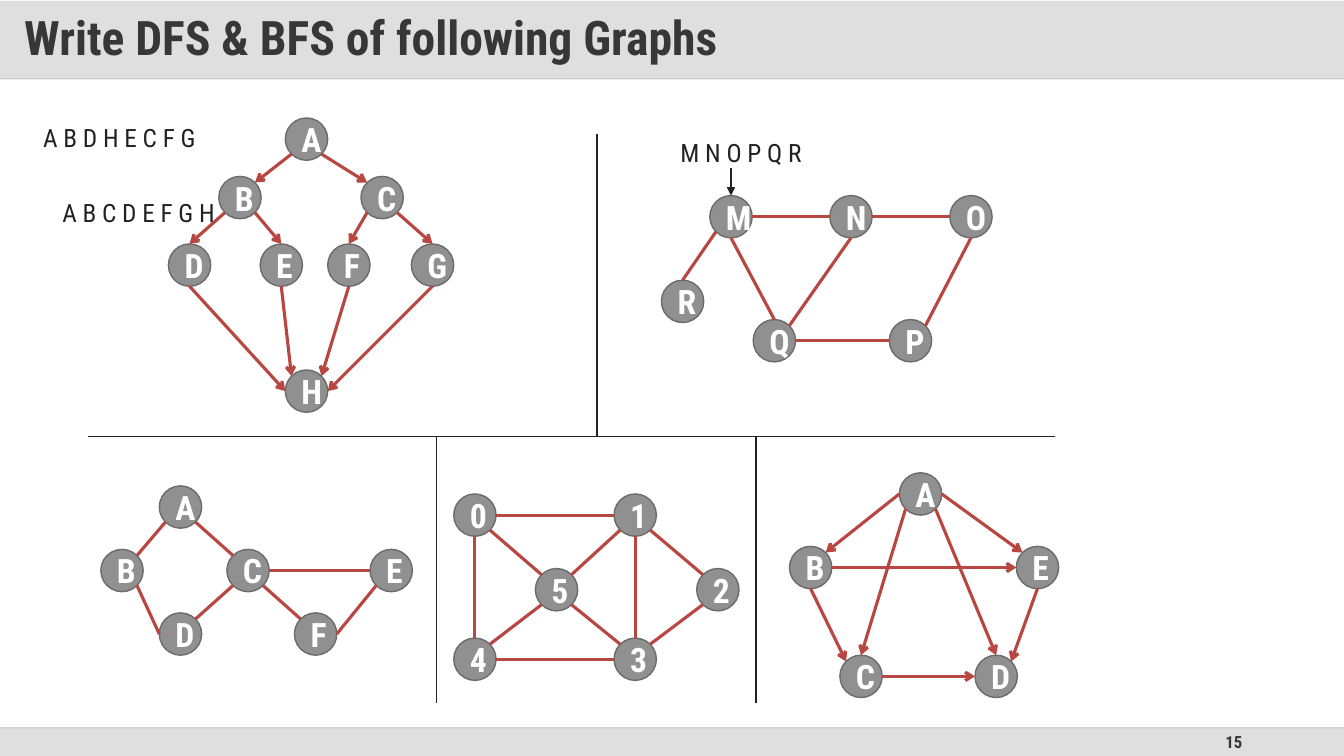
import math

from lxml import etree
from pptx import Presentation
from pptx import util as u
from pptx.dml.color import RGBColor
from pptx.enum import shapes, text
from pptx.oxml import ns

FONT = "Roboto Condensed"
WIDTH, HEIGHT = 13.33, 7.5
NODE = 0.42
INK, EDGE, DARK = "212121", "B84742", "373737"

# Each node has its left and top; each edge names a node and site at both ends.
# Sites run counterclockwise around a node in eighths, from 0 at the top.
GRAPHS = [
    {"directed": True,
     "nodes": {"A": (2.83, 1.17), "B": (2.17, 1.75), "C": (3.58, 1.75), "D": (1.67, 2.42),
               "E": (2.58, 2.42), "F": (3.25, 2.42), "G": (4.08, 2.42), "H": (2.83, 3.67)},
     "edges": "A3-B7 A5-C1 B3-D0 B5-E0 C3-F0 C5-G0 D4-H2 E4-H1 F4-H7 G4-H6"},
    {"directed": False,
     "nodes": {"A": (1.58, 4.82), "B": (1, 5.45), "C": (2.25, 5.45),
               "D": (1.58, 6.08), "E": (3.67, 5.45), "F": (2.92, 6.08)},
     "edges": "A3-B7 A5-C1 B5-D2 D7-C3 C6-E2 C5-F1 E3-F6"},
    {"directed": False,
     "nodes": {"R": (6.56, 2.78), "M": (7.04, 1.94), "Q": (7.47, 3.17),
               "N": (8.23, 1.94), "P": (8.82, 3.17), "O": (9.42, 1.94)},
     "edges": "M3-R0 M6-N2 M4-Q0 N4-Q7 O4-P7 Q6-P2 N6-O2"},
    {"directed": False,
     "nodes": {"0": (4.5, 4.9), "1": (6.09, 4.9), "4": (4.5, 6.33),
               "3": (6.09, 6.33), "5": (5.31, 5.64), "2": (6.91, 5.64)},
     "edges": "06-12 04-40 46-32 14-30 05-51 55-31 47-53 57-13 15-21 23-37"},
    {"directed": True,
     "nodes": {"A": (8.92, 4.69), "B": (7.83, 5.42), "C": (8.33, 6.5),
               "D": (9.67, 6.5), "E": (10.08, 5.42)},
     "edges": "A2-B7 A6-E1 B4-C1 E4-D7 A3-C0 A5-D0 B6-E2 C6-D2"},
]
DIVIDERS = [
    ((0.87, 4.33), (10.46, 4.33)),
    ((4.33, 4.33), (4.33, 6.97)),
    ((5.92, 1.33), (5.92, 4.33)),
    ((7.5, 4.33), (7.5, 6.97)),
]
TRAVERSALS = [
    ("A B D H E C F G", (0.33, 1.16, 3.1, 0.4), True),
    ("A B C D E F G H", (0.52, 1.91, 1.73, 0.4), False),
    ("M N O P Q R", (6.65, 1.31, 1.47, 0.4), False),
]

presentation = Presentation()
presentation.slide_width = u.Inches(WIDTH)
presentation.slide_height = u.Inches(HEIGHT)
slide = presentation.slides.add_slide(presentation.slide_layouts[6])


def paint(fill, color, opacity=100):
    fill.solid()
    fill.fore_color.rgb = RGBColor.from_string(color)
    if opacity < 100:
        color_element = fill._xPr.find(ns.qn("a:solidFill"))[0]
        etree.SubElement(color_element, ns.qn("a:alpha"), val=str(opacity * 1000))


def write(shape, words, size, color, bold=False, align="LEFT", anchor="MIDDLE", **frame_format):
    frame = shape.text_frame
    frame_values = {"word_wrap": True, "vertical_anchor": getattr(text.MSO_ANCHOR, anchor),
                    **frame_format}
    for name, value in frame_values.items():
        setattr(frame, name, value)
    paragraph = frame.paragraphs[0]
    paragraph.text = words
    paragraph.alignment = getattr(text.PP_ALIGN, align)
    for name, value in {"name": FONT, "size": u.Pt(size), "bold": bold}.items():
        setattr(paragraph.font, name, value)
    paint(paragraph.font.fill, color)
    return paragraph


def add_shape(kind, box, color, outline=None, opacity=100):
    shape = slide.shapes.add_shape(kind, *map(u.Inches, box))
    shape.shadow.inherit = False
    paint(shape.fill, color, opacity)
    if outline:
        paint(shape.line.fill, outline)
        shape.line.width = u.Pt(1)
    else:
        shape.line.fill.background()
    return shape


def add_text(words, box, size, color, **text_format):
    return write(slide.shapes.add_textbox(*map(u.Inches, box)), words, size, color, **text_format)


def add_line(start, end, color, weight, head=None, opacity=100):
    line = slide.shapes.add_connector(shapes.MSO_CONNECTOR.STRAIGHT,
                                      *map(u.Inches, (*start, *end)))
    paint(line.line.fill, color, opacity)
    line.line.width = u.Pt(weight)
    if head:
        etree.SubElement(line.line._get_or_add_ln(), ns.qn("a:tailEnd"), type=head)
    etree.SubElement(line._element.spPr, ns.qn("a:effectLst"))


def site_point(nodes, end):
    left, top = nodes[end[0]]
    angle = math.radians(90 + 45 * int(end[1]))
    radius = NODE / 2
    return left + radius * (1 + math.cos(angle)), top + radius * (1 - math.sin(angle))


# Footer and title bar
rectangle = shapes.MSO_SHAPE.RECTANGLE
add_shape(rectangle, (0, 7.22, WIDTH, 0.28), "DFDFDF")
add_text("15", (9.42, 7.22, 3, 0.28), 12, DARK, bold=True, align="RIGHT")
add_line((0, 0.78), (WIDTH, 0.78), "D9D9D9", 1)
add_line((0, 7.22), (WIDTH, 7.22), "BFBFBF", 1, opacity=70)
title_bar = add_shape(rectangle, (0, 0.01, WIDTH, 0.78), "C0C0C0", opacity=50)
title = write(title_bar, "Write DFS & BFS of following Graphs", 34, DARK, bold=True,
              margin_left=u.Inches(0.24), margin_right=u.Inches(0.24),
              margin_top=u.Inches(0.12), margin_bottom=u.Inches(0.12))
title.line_spacing = 0.9

# Graphs
for graph in GRAPHS:
    nodes = graph["nodes"]
    for label, (left, top) in nodes.items():
        node = add_shape(shapes.MSO_SHAPE.OVAL, (left, top, NODE, NODE), "909090", "6B6B6B")
        write(node, label, 24, "FFFFFF", bold=True, align="CENTER")
    for edge in graph["edges"].split():
        start, end = (site_point(nodes, name) for name in edge.split("-"))
        add_line(start, end, EDGE, 2.25, "arrow" if graph["directed"] else None)

# Dividers, start marker and traversal orders
for start, end in DIVIDERS:
    add_line(start, end, INK, 1)
add_line((7.25, 1.67), (7.25, 1.94), INK, 1.5, "triangle")
for words, box, wrap in TRAVERSALS:
    add_text(words, box, 18, INK, anchor="TOP", word_wrap=wrap,
             auto_size=text.MSO_AUTO_SIZE.SHAPE_TO_FIT_TEXT)

presentation.save("out.pptx")
